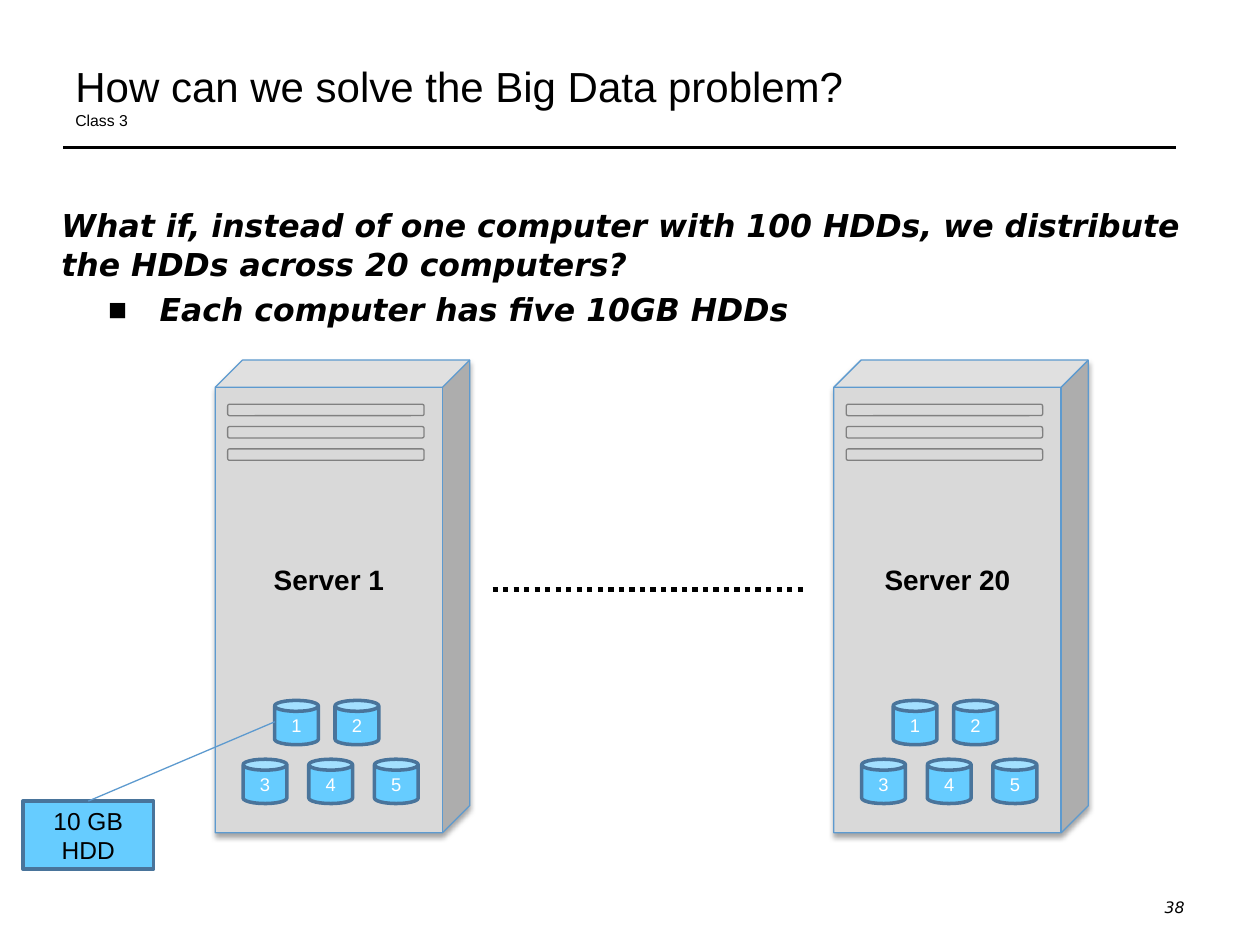
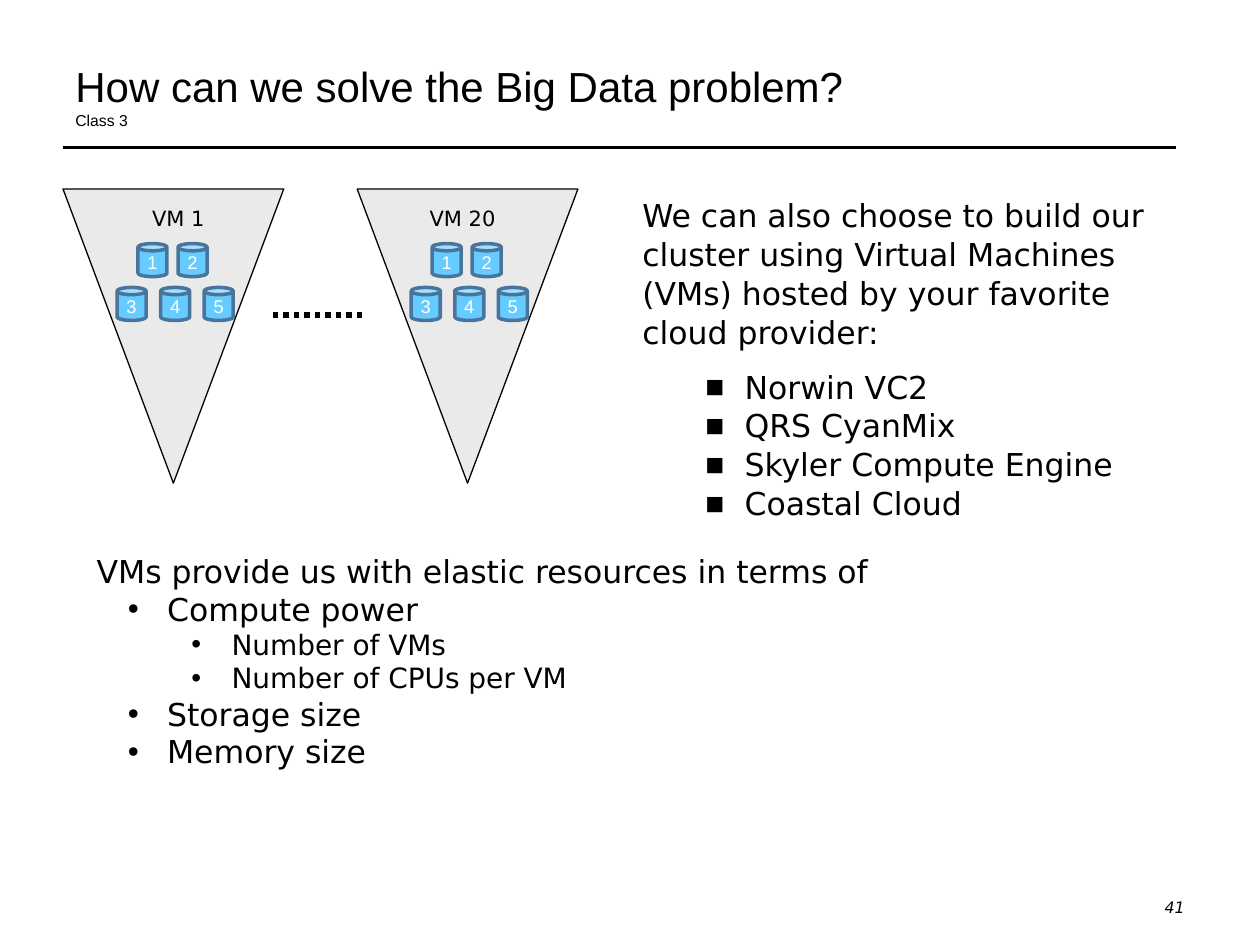
from lxml.etree import SubElement
from pptx import Presentation
from pptx.dml.color import RGBColor
from pptx.enum.dml import MSO_LINE
from pptx.enum.shapes import MSO_CONNECTOR, MSO_SHAPE
from pptx.enum.text import MSO_ANCHOR, PP_ALIGN
from pptx.oxml.ns import qn
from pptx.util import Cm, Pt

BLACK, WHITE = "000000", "FFFFFF"
DISK, DISK_EDGE = "66CCFF", "49749B"
SERVER, SERVER_EDGE, SLOT_EDGE = "D9D9D9", "5D9ACF", "808080"
VM = "EAEAEA"
HEAD_FONT, BODY_FONT = "Arial", "DejaVu Sans"
TITLE = "How can we solve the Big Data problem?"


def rgb(color):
    return RGBColor.from_string(color)


def style(font, size, name=BODY_FONT, color=BLACK, bold=False, italic=False):
    font.size, font.name = Pt(size), name
    font.color.rgb = rgb(color)
    font.bold, font.italic = bold, italic


def add_text(slide, box, text, size, name=BODY_FONT, align=PP_ALIGN.LEFT, **kw):
    sp = slide.shapes.add_textbox(*map(Cm, box))
    tf = sp.text_frame
    tf.word_wrap = True
    tf.text = text
    p = tf.paragraphs[0]
    p.alignment = align
    for r in p.runs:
        style(r.font, size, name, **kw)
    return tf


def add_item(tf, text, size, bullet, margin, indent, before=0, **kw):
    p = tf.add_paragraph()
    p.text = text
    pPr = p._p.get_or_add_pPr()
    pPr.set("marL", str(Cm(margin)))
    pPr.set("indent", str(Cm(indent)))
    SubElement(pPr, qn("a:buFont"), typeface=HEAD_FONT)
    SubElement(pPr, qn("a:buChar"), char=bullet)
    p.space_before = Pt(before)
    style(p.runs[0].font, size, **kw)


def loosen(tf):
    for p in tf.paragraphs:
        p.line_spacing = 1.03


def add_shape(shapes, kind, box, fill, edge, width):
    sp = shapes.add_shape(kind, *map(Cm, box))
    sp.shadow.inherit = False
    if fill:
        sp.fill.solid()
        sp.fill.fore_color.rgb = rgb(fill)
    else:
        sp.fill.background()
    sp.line.color.rgb = rgb(edge)
    sp.line.width = Pt(width)
    return sp


def label(sp, text, size, **kw):
    tf = sp.text_frame
    tf.word_wrap = True
    tf.text = text
    tf.vertical_anchor = MSO_ANCHOR.MIDDLE
    p = tf.paragraphs[0]
    p.alignment = PP_ALIGN.CENTER
    style(p.runs[0].font, size, HEAD_FONT, **kw)
    return tf


def add_line(slide, x1, y1, x2, y2, color, width, dash=None):
    cx = slide.shapes.add_connector(MSO_CONNECTOR.STRAIGHT, Cm(x1), Cm(y1), Cm(x2), Cm(y2))
    SubElement(cx._element.spPr, qn("a:effectLst"))
    cx.line.color.rgb = rgb(color)
    cx.line.width = Pt(width)
    if dash:
        cx.line.dash_style = dash
    return cx


def add_frame(prs, number):
    slide = prs.slides.add_slide(prs.slide_layouts[6])
    add_line(slide, 1.27, 2.97, 23.7, 2.97, BLACK, 1.5)
    add_text(slide, (18.21, 17.98, 5.92, 0.64), str(number), 9,
             align=PP_ALIGN.RIGHT, italic=True)
    tf = add_text(slide, (1.27, 0.76, 22.86, 1.98), TITLE + "\vClass 3", 24, HEAD_FONT)
    tf.vertical_anchor = MSO_ANCHOR.BOTTOM
    tf.paragraphs[0].runs[1].font.size = Pt(9)
    return slide


def add_disks(shapes, x, y, w, h):
    places = [(0.18, 0), (0.525, 0), (0, 0.57), (0.375, 0.57), (0.75, 0.57)]
    for n, (fx, fy) in enumerate(places, 1):
        box = (x + fx * w, y + fy * h, 0.25 * w, 0.43 * h)
        sp = add_shape(shapes, MSO_SHAPE.CAN, box, DISK, DISK_EDGE, 2)
        tf = label(sp, str(n), 10.5, color=WHITE)
        tf.margin_left = tf.margin_right = 0


def add_shadow(sp):
    effects = sp._element.spPr.find(qn("a:effectLst"))
    shadow = SubElement(effects, qn("a:outerShdw"), blurRad=str(Pt(3.1)),
                        dist=str(Pt(1.8)), dir="5400000", rotWithShape="0")
    color = SubElement(shadow, qn("a:srgbClr"), val=BLACK)
    SubElement(color, qn("a:alpha"), val="35000")


def add_server(slide, x, y, name):
    shapes = slide.shapes.add_group_shape().shapes
    sp = add_shape(shapes, MSO_SHAPE.CUBE, (x, y, 5.13, 9.53), SERVER, SERVER_EDGE, 0.75)
    sp.adjustments[0] = 0.107
    add_shadow(sp)
    label(sp, name, 16, bold=True).margin_bottom = Cm(1.35)
    add_disks(shapes, x + 0.56, y + 6.86, 3.53, 2.08)
    for i in range(3):
        box = (x + 0.25, y + 0.89 + i * 0.45, 3.96, 0.23)
        add_shape(shapes, MSO_SHAPE.ROUNDED_RECTANGLE, box, None, SLOT_EDGE, 0.75)


def add_vm(slide, x, y, name, name_x):
    sp = add_shape(slide.shapes, MSO_SHAPE.ISOSCELES_TRIANGLE, (x, y, 4.45, 5.93), VM, BLACK, 0.75)
    sp.rotation = 180
    add_text(slide, (x + name_x, y + 0.2, 2.97, 0.76), name, 12, align=PP_ALIGN.CENTER)
    add_disks(slide.shapes.add_group_shape().shapes, x + 1.09, y + 1.1, 2.34, 1.55)


def build_servers(prs):
    slide = add_frame(prs, 38)
    add_line(slide, 9.93, 11.89, 16.28, 11.89, BLACK, 3, MSO_LINE.ROUND_DOT)
    emphasis = dict(bold=True, italic=True)
    tf = add_text(slide, (0.99, 4.01, 23.57, 2.72),
                  "What if, instead of one computer with 100 HDDs, "
                  "we distribute the HDDs across 20 computers?", 18, **emphasis)
    add_item(tf, "Each computer has five 10GB HDDs", 18, "■", 1.98, -1.04, 3.6, **emphasis)
    loosen(tf)
    callout = add_shape(slide.shapes, MSO_SHAPE.RECTANGLE, (0.46, 16.15, 2.64, 1.37),
                        DISK, DISK_EDGE, 2)
    label(callout, "10 GB HDD", 14)
    add_server(slide, 4.34, 7.26, "Server 1")
    add_line(slide, 5.54, 14.55, 1.78, 16.15, SERVER_EDGE, 0.75).end_connect(callout, 0)
    add_server(slide, 16.81, 7.26, "Server 20")


def build_vms(prs):
    slide = add_frame(prs, 41)
    add_vm(slide, 1.27, 3.81, "VM 1", 0.84)
    add_vm(slide, 7.2, 3.81, "VM 20", 0.64)
    add_line(slide, 5.5, 6.35, 7.37, 6.35, BLACK, 3, MSO_LINE.ROUND_DOT)

    tf = add_text(slide, (12.7, 3.81, 11.43, 6.76),
                  "We can also choose to build our cluster using Virtual Machines "
                  "(VMs) hosted by your favorite cloud provider:", 18)
    providers = ["Norwin VC2", "QRS CyanMix", "Skyler Compute Engine", "Coastal Cloud"]
    for i, provider in enumerate(providers):
        add_item(tf, provider, 18, "■", 2.06, -0.79, 0 if i else 9)
    loosen(tf)

    tf = add_text(slide, (1.7, 11, 22.45, 4.78),
                  "VMs provide us with elastic resources in terms of", 18)
    levels = {1: (18, "•", 1.42, -0.79), 2: (16, "•", 2.72, -0.81)}
    resources = [("Compute power", 1), ("Number of VMs", 2), ("Number of CPUs per VM", 2),
                 ("Storage size", 1), ("Memory size", 1)]
    for text, level in resources:
        add_item(tf, text, *levels[level])


def main():
    prs = Presentation()
    prs.slide_width, prs.slide_height = Cm(25.4), Cm(19.05)
    build_servers(prs)
    build_vms(prs)
    prs.save("out.pptx")


if __name__ == "__main__":
    main()
